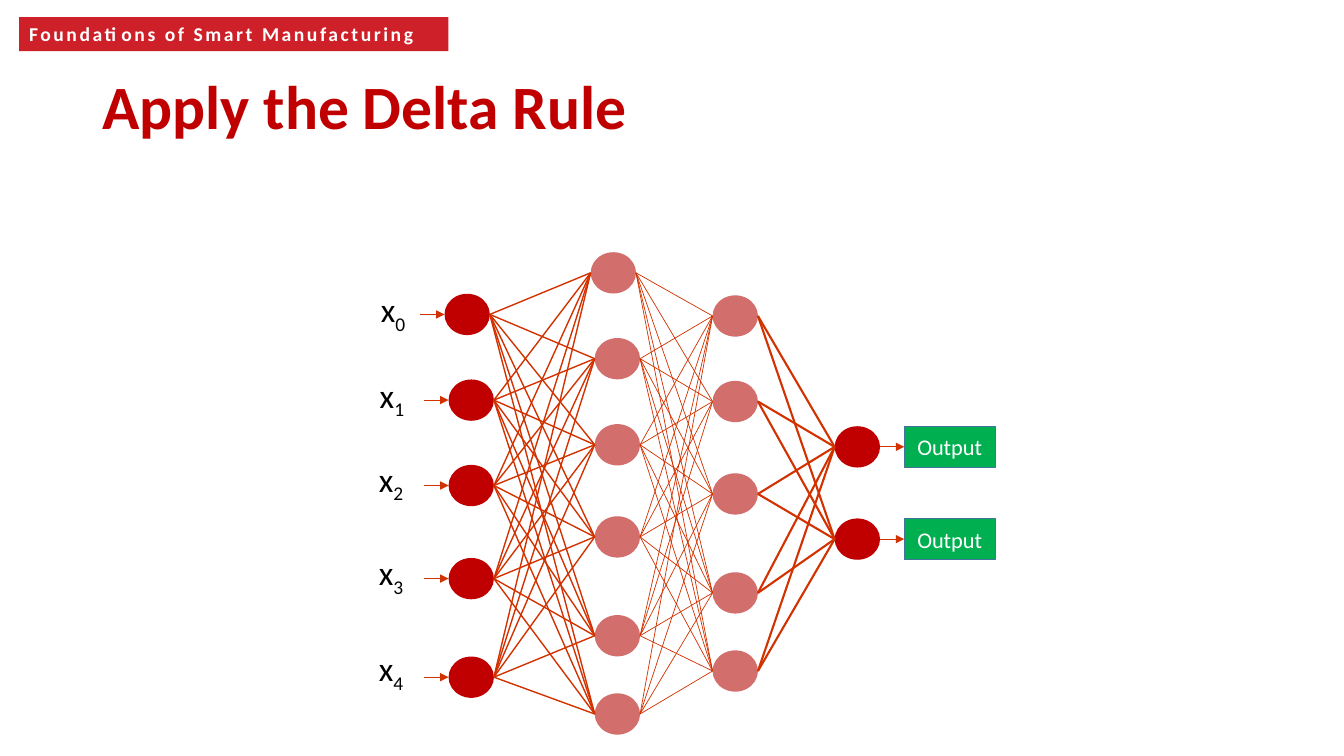
import itertools

import lxml.etree
import pptx
import pptx.dml.color
import pptx.enum.shapes
import pptx.enum.text
import pptx.oxml.ns
import pptx.util

Pt = pptx.util.Pt
RGBColor = pptx.dml.color.RGBColor
SHAPE = pptx.enum.shapes.MSO_SHAPE
ALIGN = pptx.enum.text.PP_ALIGN
ANCHOR = pptx.enum.text.MSO_ANCHOR

BANNER_RED = RGBColor(0xCE, 0x20, 0x29)
DEEP_RED = RGBColor(0xC0, 0x00, 0x00)
SOFT_RED = RGBColor(0xD2, 0x6E, 0x6C)
LINK_ORANGE = RGBColor(0xD2, 0x32, 0x00)
GREEN = RGBColor(0x00, 0xB0, 0x50)
BOX_EDGE = RGBColor(0x43, 0x73, 0x9E)
WHITE = RGBColor(0xFF, 0xFF, 0xFF)
BLACK = RGBColor(0x00, 0x00, 0x00)

FONT = "Calibri"
NODE_W, NODE_H = 32.4, 29.5
ARROW_LENGTH = 17.3

# Each layer lists its neurons as (left, centre y)
INPUTS = [(317.5, 224.6), (320.4, 285.8), (320.4, 346.8), (320.4, 413.3), (320.4, 483.7)]
HIDDEN_1 = [(421.9, 194.9), (424.8, 256.2), (424.8, 317.7),
            (424.8, 383.5), (424.8, 454.1), (424.8, 510)]
HIDDEN_2 = [(509, 225.7), (509, 286.8), (509, 352.8), (509, 423.5), (509, 479.3)]
OUTPUTS = [(596.2, 319.2), (596.2, 385.1)]
LABEL_CORNERS = [(265, 203), (264.2, 264.2), (263.5, 324), (263.5, 391), (263.5, 459.4)]
UNLINKED = {(HIDDEN_1[5], HIDDEN_2[1])}


def write(frame, text, subscript="", size=16, color=BLACK, bold=False, spacing=None,
          align=ALIGN.LEFT, anchor=ANCHOR.TOP, line_spacing=None, wrap=True):
    frame.word_wrap = wrap
    frame.vertical_anchor = anchor
    paragraph = frame.paragraphs[0]
    paragraph.alignment = align
    paragraph.line_spacing = line_spacing
    for part in filter(None, (text, subscript)):
        run = paragraph.add_run()
        run.text = part
        run.font.name = FONT
        run.font.size = Pt(size)
        run.font.bold = bold
        run.font.color.rgb = color
        properties = run._r.get_or_add_rPr()
        if spacing:
            properties.set("spc", str(int(spacing * 100)))
        if part == subscript:
            properties.set("baseline", "-25000")


def add_filled(slide, preset, left, top, width, height, fill, edge=None):
    shape = slide.shapes.add_shape(preset, Pt(left), Pt(top), Pt(width), Pt(height))
    shape.shadow.inherit = False
    shape.fill.solid()
    shape.fill.fore_color.rgb = fill
    if edge is None:
        shape.line.fill.background()
    else:
        shape.line.color.rgb = edge
        shape.line.width = Pt(1)
    return shape


def add_text(slide, left, top, width, height, text, **style):
    box = slide.shapes.add_textbox(Pt(left), Pt(top), Pt(width), Pt(height))
    write(box.text_frame, text, **style)


def add_link(slide, x1, y1, x2, y2, width, arrow=False):
    link = slide.shapes.add_connector(
        pptx.enum.shapes.MSO_CONNECTOR.STRAIGHT, Pt(x1), Pt(y1), Pt(x2), Pt(y2))
    link.line.color.rgb = LINK_ORANGE
    link.line.width = Pt(width)
    qn = pptx.oxml.ns.qn
    if arrow:
        line = link.line._get_or_add_ln()
        lxml.etree.SubElement(line, qn("a:tailEnd"), type="triangle")
    lxml.etree.SubElement(link._element.spPr, qn("a:effectLst"))


def add_layer(slide, neurons, fill):
    for left, middle in neurons:
        add_filled(slide, SHAPE.OVAL, left, middle - NODE_H / 2, NODE_W, NODE_H, fill)


def connect_layers(slide, sources, targets, width):
    for source, target in itertools.product(sources, targets):
        if (source, target) not in UNLINKED:
            add_link(slide, source[0] + NODE_W, source[1], *target, width)


def main():
    deck = pptx.Presentation()
    deck.slide_width, deck.slide_height = Pt(960), Pt(540)
    slide = deck.slides.add_slide(deck.slide_layouts[6])

    # Course banner and title
    banner = add_filled(slide, SHAPE.RECTANGLE, 13.7, 12.2, 306.7, 24.3, BANNER_RED)
    write(banner.text_frame, "Foundations of Smart Manufacturing",
          size=14, color=WHITE, bold=True, spacing=1.8)
    add_text(slide, 66, 51, 894, 57, "Apply the Delta Rule",
             size=44, color=DEEP_RED, bold=True, line_spacing=0.9)

    # Neurons
    for neurons, fill in ((INPUTS, DEEP_RED), (HIDDEN_1, SOFT_RED),
                          (HIDDEN_2, SOFT_RED), (OUTPUTS, DEEP_RED)):
        add_layer(slide, neurons, fill)

    # Weights between layers
    connect_layers(slide, INPUTS, HIDDEN_1, 1)
    connect_layers(slide, HIDDEN_1, HIDDEN_2, 0.5)
    connect_layers(slide, HIDDEN_2, OUTPUTS, 1.5)

    # Output boxes
    for left, middle in OUTPUTS:
        start = left + NODE_W
        output = add_filled(slide, SHAPE.RECTANGLE, start + ARROW_LENGTH,
                            middle - NODE_H / 2, 65, NODE_H, GREEN, BOX_EDGE)
        write(output.text_frame, "Output", color=WHITE,
              align=ALIGN.CENTER, anchor=ANCHOR.MIDDLE)
        add_link(slide, start, middle, start + ARROW_LENGTH, middle, 0.5, arrow=True)

    # Input arrows and labels
    for index, ((left, middle), corner) in enumerate(zip(INPUTS, LABEL_CORNERS)):
        add_link(slide, left - ARROW_LENGTH, middle, left, middle, 0.5, arrow=True)
        add_text(slide, *corner, 33.8, 36, "x", subscript=str(index), size=24, wrap=False)

    deck.save("out.pptx")


if __name__ == "__main__":
    main()
